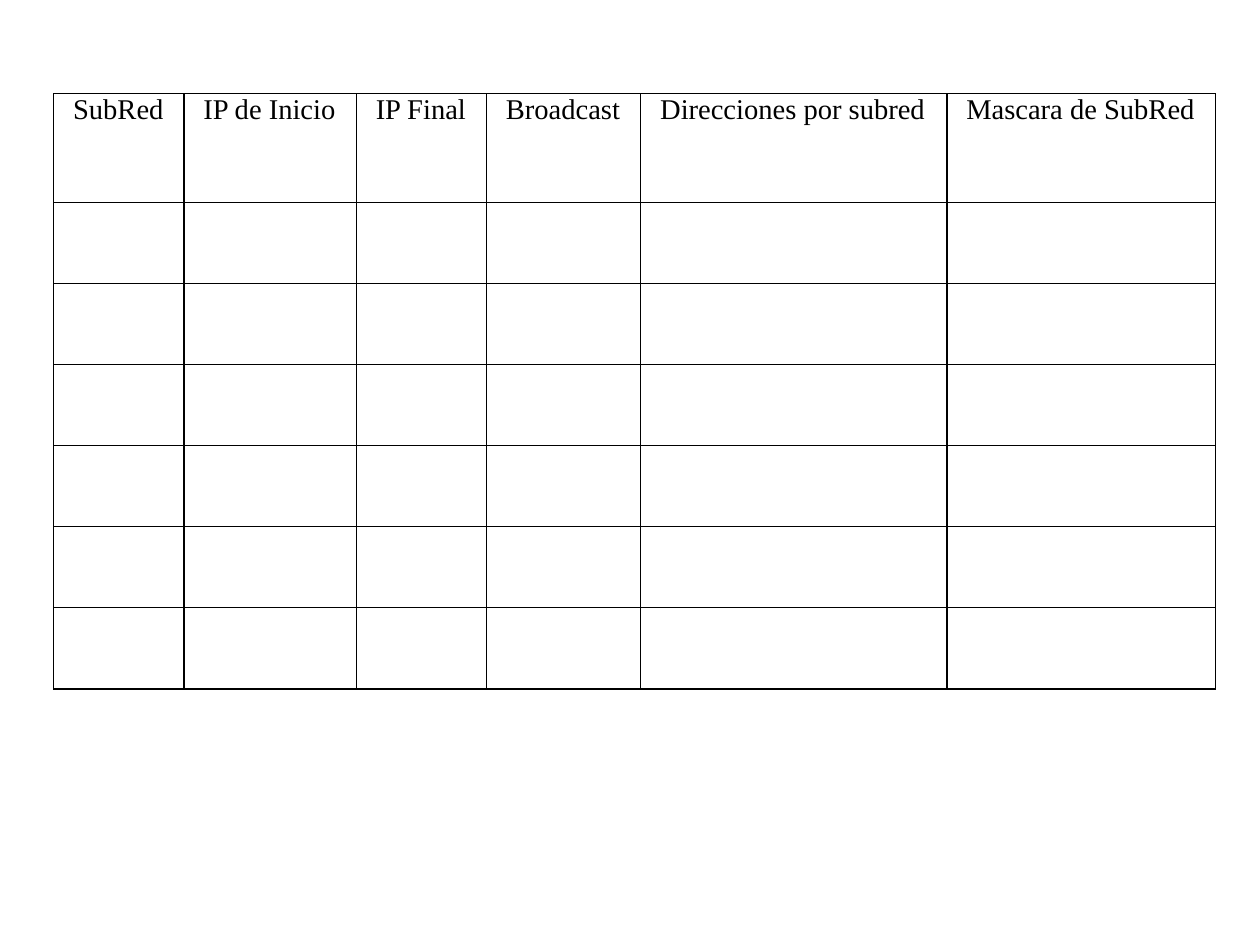
"""Build a slide with an empty subnet planning table."""
from dataclasses import dataclass

from lxml import etree
from pptx import Presentation
from pptx import util as u
from pptx.dml.color import RGBColor
from pptx.oxml import ns
from pptx.table import _Cell

PX = 9144
COLORS = {"ink": "000000"}
FONT = "Times New Roman"
LEFT, TOP = 47, 82
HEADER_HEIGHT, ROW_HEIGHT, EMPTY_ROWS = 95, 71, 6
INDENT = 17


@dataclass(frozen=True)
class Column:
    """A table column: heading and width in px."""
    heading: str
    width: int


COLUMNS = [
    Column("SubRed", 114),
    Column("IP de Inicio", 151),
    Column("IP Final", 114),
    Column("Broadcast", 135),
    Column("Direcciones por subred", 268),
    Column("Mascara de SubRed", 235),
]


def px(length: int) -> u.Emu:
    """Turn px into EMU."""
    return u.Emu(length * PX)


def style_cell(cell: _Cell) -> None:
    """Give a cell thin borders, no fill and its margins."""
    properties = cell._tc.get_or_add_tcPr()
    for side in ("lnL", "lnR", "lnT", "lnB"):
        line = etree.SubElement(properties, ns.qn(f"a:{side}"), w=str(u.Pt(1)))
        fill = etree.SubElement(line, ns.qn("a:solidFill"))
        etree.SubElement(fill, ns.qn("a:srgbClr"), val=COLORS["ink"])
    cell.fill.background()
    cell.margin_left = px(INDENT)
    cell.margin_right = cell.margin_top = cell.margin_bottom = 0


def write_heading(cell: _Cell, heading: str) -> None:
    """Write a column heading into a cell."""
    span = cell.text_frame.paragraphs[0].add_run()
    span.text = heading
    span.font.name = FONT
    span.font.size = u.Pt(18)
    span.font.bold = False
    span.font.color.rgb = RGBColor.from_string(COLORS["ink"])


def main() -> None:
    """Draw the table and save the deck."""
    deck = Presentation()
    deck.slide_width, deck.slide_height = px(1103), px(827)
    page = deck.slides.add_slide(deck.slide_layouts[6])
    heights = [HEADER_HEIGHT] + [ROW_HEIGHT] * EMPTY_ROWS
    width = sum(column.width for column in COLUMNS)
    table = page.shapes.add_table(
        len(heights), len(COLUMNS), px(LEFT), px(TOP), px(width), px(sum(heights))
    ).table
    table.first_row = table.horz_banding = False
    for row, height in zip(table.rows, heights):
        row.height = px(height)
    for index, column in enumerate(COLUMNS):
        table.columns[index].width = px(column.width)
        write_heading(table.cell(0, index), column.heading)
    for cell in table.iter_cells():
        style_cell(cell)
    deck.save("out.pptx")


if __name__ == "__main__":
    main()
